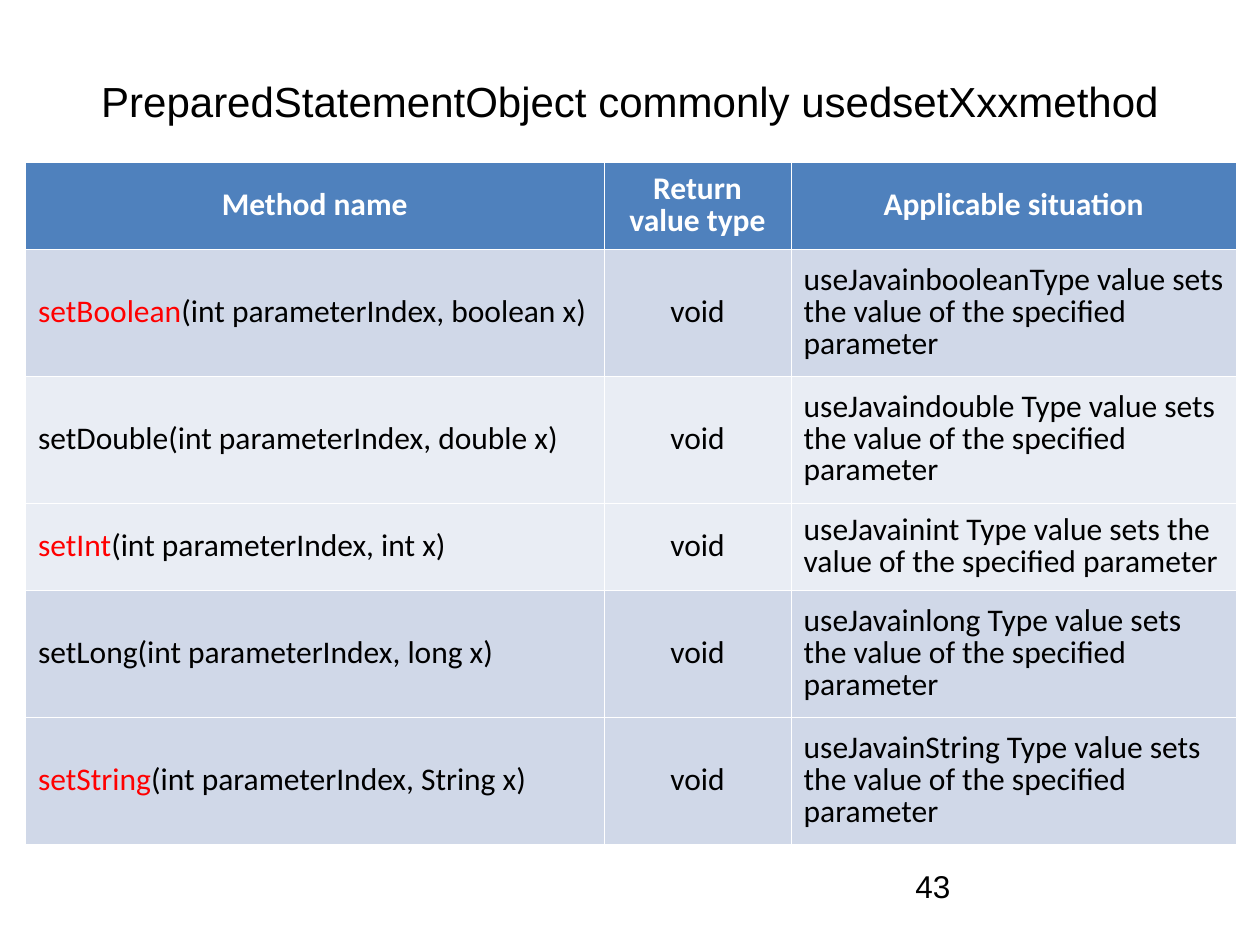
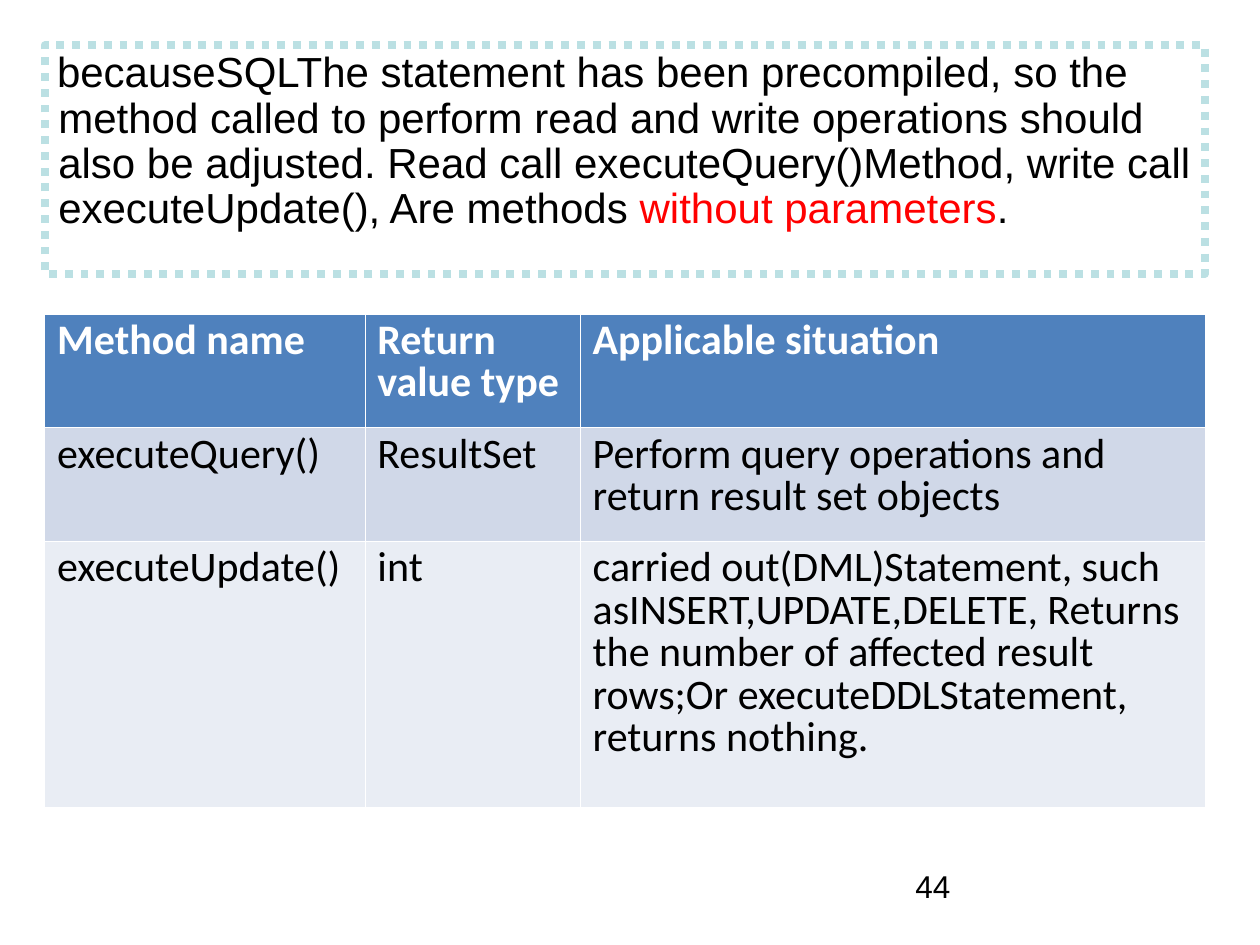
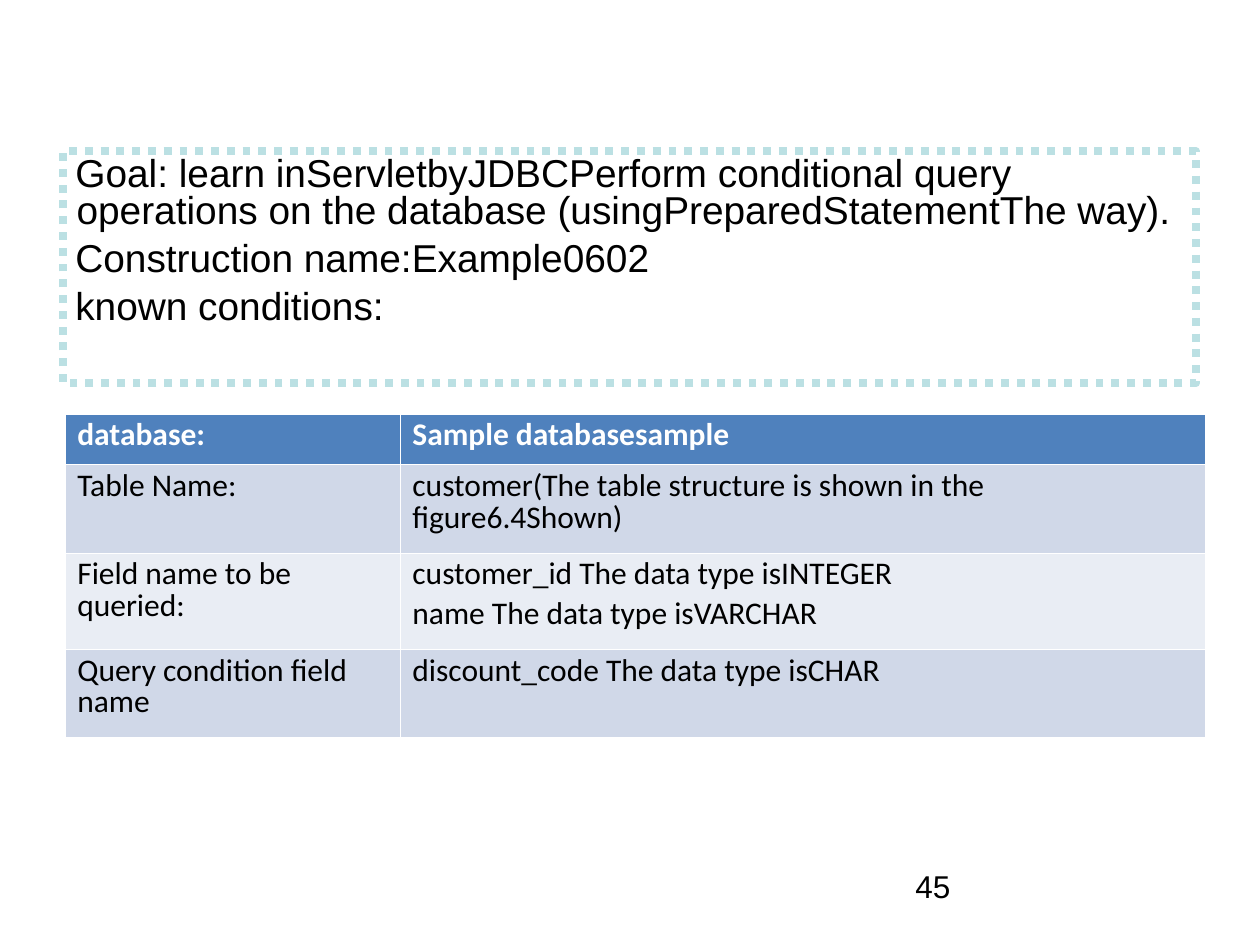
from lxml import etree
from pptx import Presentation
from pptx.dml import color
from pptx.enum import dml, shapes, text
from pptx.oxml import ns
from pptx.util import Pt

BLACK, WHITE, RED = "000000", "FFFFFF", "FF0000"
HEAD, DARK, LIGHT, DOTS = "4F81BD", "D0D8E8", "E9EDF4", "BBE0E3"
LEFT, MID = text.PP_ALIGN.LEFT, text.PP_ALIGN.CENTER
TOP, CENTER = text.MSO_ANCHOR.TOP, text.MSO_ANCHOR.MIDDLE


def rgb(code):
    return color.RGBColor.from_string(code)


def write(frame, words, size, font="Arial", ink=BLACK, bold=False,
          align=LEFT, lead=1.0, gap=0):
    """Fill a frame, one paragraph a line; parts between asterisks turn red."""
    frame.word_wrap = True
    for i, line in enumerate(words.split("\n")):
        para = frame.paragraphs[0] if i == 0 else frame.add_paragraph()
        para.alignment = align
        para.line_spacing = lead
        para.space_before = Pt(gap if i else 0)
        para.font.size = Pt(size)
        para.font.name = font
        para.font.bold = bold
        para.font.color.rgb = rgb(ink)
        for j, part in enumerate(line.split("*")):
            if part:
                run = para.add_run()
                run.text = part
                if j % 2:
                    run.font.color.rgb = rgb(RED)


def add_label(slide, words, box, size, align=LEFT, anchor=TOP):
    frame = slide.shapes.add_textbox(*map(Pt, box)).text_frame
    frame.vertical_anchor = anchor
    write(frame, words, size, align=align)


def add_panel(slide, words, box, size, lead):
    """Add a dotted frame with top-left text."""
    panel = slide.shapes.add_shape(shapes.MSO_SHAPE.RECTANGLE, *map(Pt, box))
    panel.shadow.inherit = False
    panel.fill.background()
    panel.line.color.rgb = rgb(DOTS)
    panel.line.width = Pt(4.5)
    panel.line.dash_style = dml.MSO_LINE.ROUND_DOT
    panel.text_frame.vertical_anchor = TOP
    write(panel.text_frame, words, size, lead=lead, gap=6)
    for para in panel.text_frame.paragraphs:
        props = para._p.get_or_add_pPr()
        props.set("marL", str(Pt(0.72)))
        props.set("indent", str(Pt(-0.72)))


def add_edges(cell, top, base):
    """Draw white cell borders; top and base are widths in points."""
    props = cell._tc.get_or_add_tcPr()
    widths = {"lnL": 0.23, "lnR": 0.23, "lnT": top, "lnB": base}
    for i, (tag, width) in enumerate(widths.items()):
        edge = etree.Element(ns.qn("a:" + tag), w=str(Pt(width)))
        fill = etree.SubElement(edge, ns.qn("a:solidFill"))
        etree.SubElement(fill, ns.qn("a:srgbClr"), val=WHITE)
        props.insert(i, edge)


def add_grid(slide, left, top, cols, highs, rows, bands, size,
             anchor=TOP, mids=(), center_head=False):
    """Add a table; mids are the centred columns of the body."""
    table = slide.shapes.add_table(
        len(rows), len(cols), Pt(left), Pt(top),
        Pt(sum(cols)), Pt(sum(highs))).table
    table.horz_banding = False
    for col, width in zip(table.columns, cols):
        col.width = Pt(width)
    for r, (row, high, band) in enumerate(zip(rows, highs, [HEAD, *bands])):
        table.rows[r].height = Pt(high)
        head = r == 0
        for c, words in enumerate(row):
            cell = table.cell(r, c)
            cell.fill.solid()
            cell.fill.fore_color.rgb = rgb(band)
            cell.vertical_anchor = anchor
            add_edges(cell, 0.75 if r == 1 else 0.23, 0.75 if head else 0.23)
            mid = center_head if head else c in mids
            write(cell.text_frame, words, size, "Calibri",
                  WHITE if head else BLACK, head,
                  MID if mid else LEFT, 0.83, 4.5)


def add_page(deck, number):
    slide = deck.slides.add_slide(deck.slide_layouts[6])
    add_label(slide, str(number), (516, 492, 168, 37.5), 18)
    return slide


def add_setters(deck):
    slide = add_page(deck, 43)
    add_label(slide, "PreparedStatementObject commonly usedsetXxxmethod",
              (36, 44, 648, 27.5), 24, MID, CENTER)
    setters = [
        ("*setBoolean*(int parameterIndex, boolean x)", "booleanType"),
        ("setDouble(int parameterIndex, double x)", "double Type"),
        ("*setInt*(int parameterIndex, int x)", "int Type"),
        ("setLong(int parameterIndex, long x)", "long Type"),
        ("*setString*(int parameterIndex, String x)", "String Type"),
    ]
    rows = [("Method name", "Return value type", "Applicable situation")]
    rows += [(call, "void", f"useJavain{kind} value sets the value of "
              "the specified parameter") for call, kind in setters]
    add_grid(slide, 14.6, 92.4, (330.5, 107, 254.3),
             (50, 72.5, 72.5, 50, 72.5, 72.5), rows,
             (DARK, LIGHT, LIGHT, DARK, DARK), 18, CENTER, (1,), True)


def add_calls(deck):
    slide = add_page(deck, 44)
    add_panel(slide, "becauseSQLThe statement has been precompiled, so the "
              "method called to perform read and write operations should "
              "also be adjusted. Read call executeQuery()Method, write call "
              "executeUpdate(), Are methods *without parameters*.",
              (25.5, 26, 663, 130.5), 24, 0.9)
    rows = [
        ("Method name", "Return value type", "Applicable situation"),
        ("executeQuery()", "ResultSet",
         "Perform query operations and return result set objects"),
        ("executeUpdate()", "int",
         "carried out(DML)Statement, such asINSERT,UPDATE,DELETE, Returns "
         "the number of affected result rows;Or executeDDLStatement, "
         "returns nothing."),
    ]
    add_grid(slide, 25.5, 179.5, (183, 123, 357), (65, 65, 151.5), rows,
             (DARK, LIGHT), 24)


def add_task(deck):
    slide = add_page(deck, 45)
    add_panel(slide, "Goal: learn inServletbyJDBCPerform conditional query "
              "operations on the database (usingPreparedStatementThe way).\n"
              "Construction name:Example0602\nknown conditions:",
              (36, 86.5, 647.5, 132.5), 22.2, 0.8)
    rows = [
        ("database:", "Sample databasesample"),
        ("Table Name:",
         "customer(The table structure is shown in the figure6.4Shown)"),
        ("Field name to be queried:",
         "customer_id The data type isINTEGER\n"
         "name The data type isVARCHAR"),
        ("Query condition field name", "discount_code The data type isCHAR"),
    ]
    add_grid(slide, 37, 236.5, (191.5, 460), (29, 50.5, 55, 50.5), rows,
             (DARK, LIGHT, DARK), 18)


def main():
    deck = Presentation()
    deck.slide_width, deck.slide_height = Pt(720), Pt(540)
    add_setters(deck)
    add_calls(deck)
    add_task(deck)
    deck.save("out.pptx")


if __name__ == "__main__":
    main()
